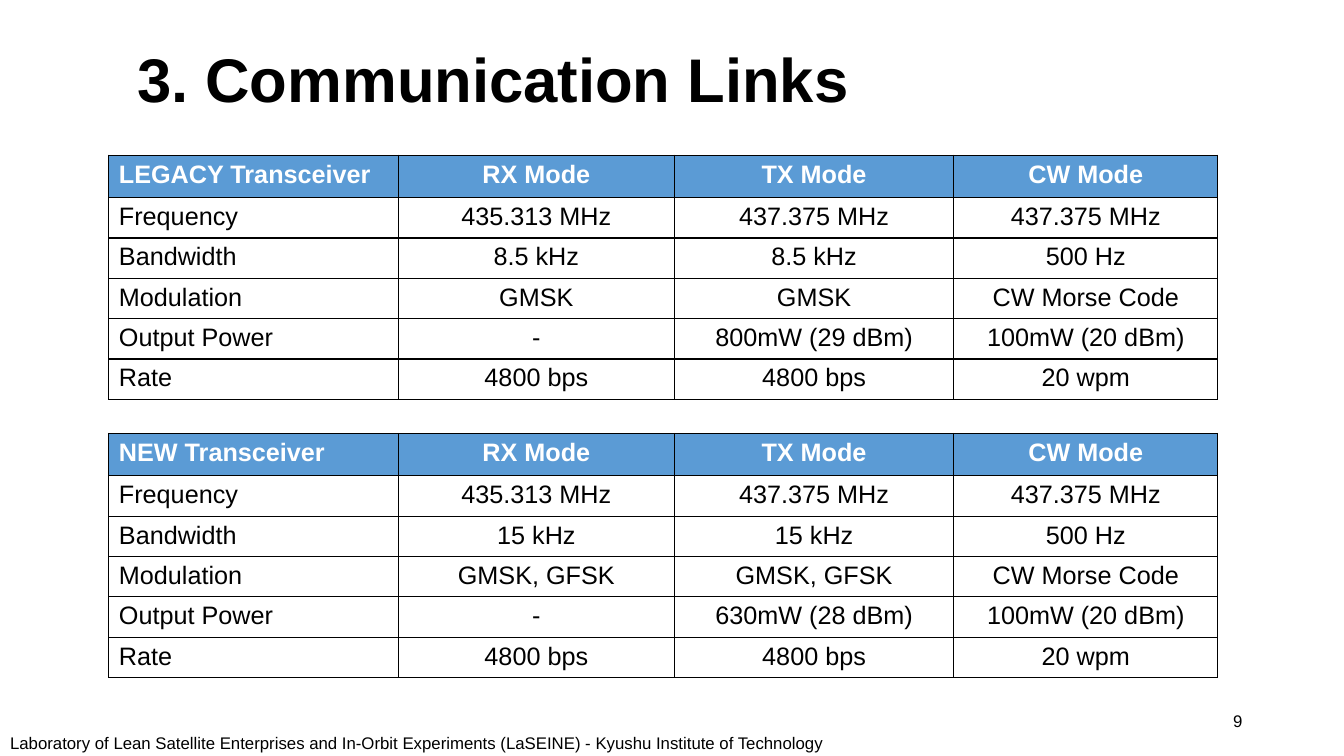
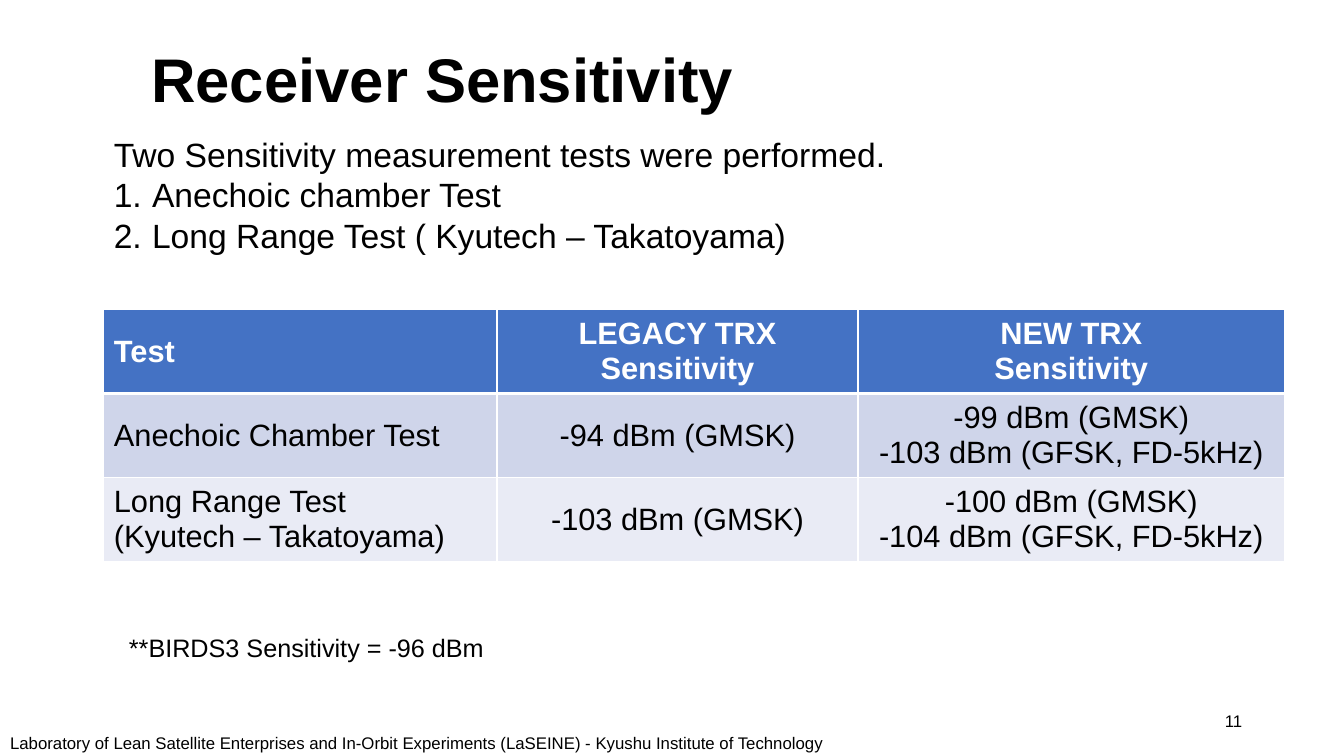
from lxml.etree import SubElement
from pptx import Presentation
from pptx.dml.color import RGBColor
from pptx.enum.text import MSO_ANCHOR, MSO_AUTO_SIZE, PP_ALIGN
from pptx.oxml.ns import qn
from pptx.util import Inches, Pt

BLACK = RGBColor(0x00, 0x00, 0x00)
WHITE = RGBColor(0xFF, 0xFF, 0xFF)
SKY = RGBColor(0x5B, 0x9B, 0xD5)
BLUE = RGBColor(0x44, 0x72, 0xC4)
PALE = RGBColor(0xCF, 0xD5, 0xEA)
MIST = RGBColor(0xE9, 0xEB, 0xF5)

FOOTER = ("Laboratory of Lean Satellite Enterprises and In-Orbit Experiments "
          "(LaSEINE) - Kyushu Institute of Technology")
MODES = ["RX Mode", "TX Mode", "CW Mode"]
FREQS = ["Frequency", "435.313 MHz", "437.375 MHz", "437.375 MHz"]
RATES = ["Rate", "4800 bps", "4800 bps", "20 wpm"]


class Deck:
    """Holds the shared style and the slide being built."""

    font = "Arial"

    def __init__(self):
        self.prs = Presentation()
        self.prs.slide_width = Inches(13.33)
        self.prs.slide_height = Inches(7.5)
        self.slide = None

    def style(self, para, size, color=BLACK, bold=False, align=PP_ALIGN.LEFT):
        para.alignment = align
        font = para.font
        font.name, font.size, font.bold = self.font, Pt(size), bold
        font.color.rgb = color

    def start(self, title, number, left):
        """Add a slide with its title, footer and page number."""
        self.slide = self.prs.slides.add_slide(self.prs.slide_layouts[5])
        head = self.slide.shapes.title
        head.left, head.top = Inches(left), Inches(0.4)
        head.width, head.height = Inches(10.82), Inches(0.83)
        frame = head.text_frame
        frame.text = title
        frame.auto_size = MSO_AUTO_SIZE.NONE
        frame.vertical_anchor = MSO_ANCHOR.MIDDLE
        para = frame.paragraphs[0]
        para.line_spacing = 0.9
        self.style(para, 44, bold=True)
        foot = self.text([FOOTER], 0.1, 7.23, 8.16, 0.23, 12)
        foot.margin_left = foot.margin_right = foot.margin_bottom = 0
        foot.margin_top = Inches(0.04)
        page = self.text([str(number)], 9.42, 6.95, 3, 0.4, 12, PP_ALIGN.RIGHT)
        page.vertical_anchor = MSO_ANCHOR.MIDDLE

    def text(self, lines, left, top, width, height, size,
             align=PP_ALIGN.LEFT, listed=False):
        """Add a text box; if listed, number every line after the first."""
        box = self.slide.shapes.add_textbox(
            Inches(left), Inches(top), Inches(width), Inches(height))
        frame = box.text_frame
        frame.word_wrap = True
        frame.text = "\n".join(lines)
        for i, para in enumerate(frame.paragraphs):
            if listed and i:
                self.number(para)
            self.style(para, size, align=align)
        return frame

    def number(self, para):
        props = para._p.get_or_add_pPr()
        props.set("marL", str(Inches(0.38)))
        props.set("indent", str(-Inches(0.38)))
        SubElement(props, qn("a:buFont"), typeface="+mj-lt")
        SubElement(props, qn("a:buAutoNum"), type="arabicPeriod")

    def border(self, cell, color, top=1, bottom=1):
        props = cell._tc.get_or_add_tcPr()
        for side, width in zip("LRTB", (1, 1, top, bottom)):
            line = SubElement(props, qn(f"a:ln{side}"), w=str(Pt(width)))
            fill = SubElement(line, qn("a:solidFill"))
            SubElement(fill, qn("a:srgbClr"), val=str(color))

    def table(self, rows, left, top, widths, heights, size, fills,
              edge, rule=1, anchor=MSO_ANCHOR.TOP):
        """Add a table; fills has one colour or None per row, and rule is
        the weight of the line below the header."""
        grid = self.slide.shapes.add_table(
            len(rows), len(widths), Inches(left), Inches(top),
            Inches(sum(widths)), Inches(sum(heights))).table
        grid.horz_banding = False
        for col, width in zip(grid.columns, widths):
            col.width = Inches(width)
        for r, row in enumerate(rows):
            grid.rows[r].height = Inches(heights[r])
            for c, words in enumerate(row):
                cell = grid.cell(r, c)
                cell.text = words
                cell.vertical_anchor = anchor
                self.border(cell, edge, top=rule if r == 1 else 1,
                            bottom=rule if r == 0 else 1)
                if fills[r] is None:
                    cell.fill.background()
                else:
                    cell.fill.solid()
                    cell.fill.fore_color.rgb = fills[r]
                for para in cell.text_frame.paragraphs:
                    self.style(para, size, BLACK if r else WHITE, r == 0,
                               PP_ALIGN.CENTER if c else PP_ALIGN.LEFT)


def links(deck):
    deck.start("3. Communication Links", 9, 1.26)
    radios = [
        ("LEGACY", "8.5 kHz", "GMSK", "800mW (29 dBm)"),
        ("NEW", "15 kHz", "GMSK, GFSK", "630mW (28 dBm)"),
    ]
    for i, (name, band, mod, power) in enumerate(radios):
        rows = [
            [f"{name} Transceiver", *MODES],
            FREQS,
            ["Bandwidth", band, band, "500 Hz"],
            ["Modulation", mod, mod, "CW Morse Code"],
            ["Output Power", "-", power, "100mW (20 dBm)"],
            RATES,
        ]
        deck.table(rows, 1.08, 1.54 + 2.76 * i, [2.87, 2.74, 2.77, 2.62],
                   [0.42] + [0.38] * 5, 18, [SKY] + [None] * 5, BLACK)


def tests(deck):
    deck.start("Receiver Sensitivity", 11, 1.4)
    deck.text(["Two Sensitivity measurement tests were performed.",
               "Anechoic chamber Test",
               "Long Range Test ( Kyutech – Takatoyama)"],
              1.03, 1.28, 9.21, 1.31, 24, listed=True)
    rows = [
        ["Test", "LEGACY TRX\nSensitivity", "NEW TRX\nSensitivity"],
        ["Anechoic Chamber Test", "-94 dBm (GMSK)",
         "-99 dBm (GMSK)\n-103 dBm (GFSK, FD-5kHz)"],
        ["Long Range Test\n(Kyutech – Takatoyama)", "-103 dBm (GMSK)",
         "-100 dBm (GMSK)\n-104 dBm (GFSK, FD-5kHz)"],
    ]
    deck.table(rows, 1.03, 3.07, [3.9, 3.58, 4.23], [0.83] * 3, 22,
               [BLUE, PALE, MIST], WHITE, rule=3, anchor=MSO_ANCHOR.MIDDLE)
    deck.text(["**BIRDS3 Sensitivity = -96 dBm"], 1.18, 6.22, 4.45, 0.4, 18)


def main():
    deck = Deck()
    links(deck)
    tests(deck)
    deck.prs.save("out.pptx")


if __name__ == "__main__":
    main()
